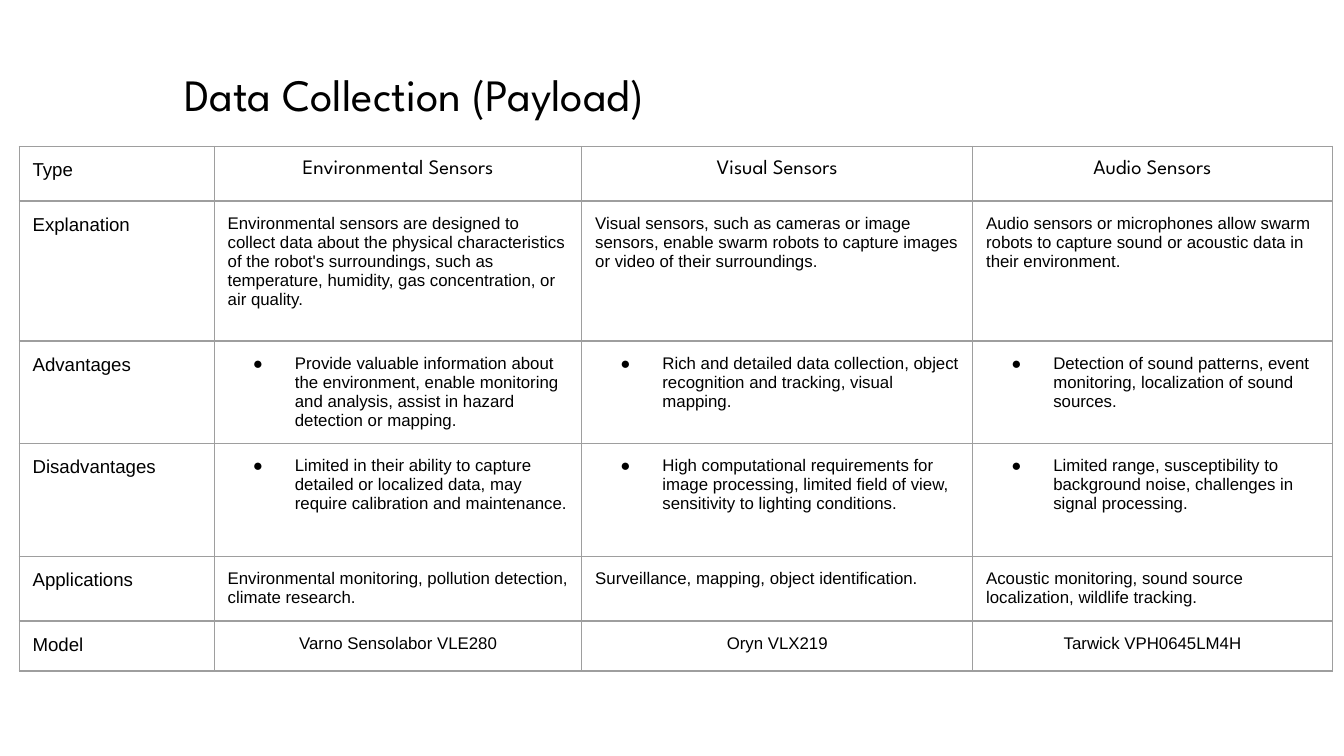
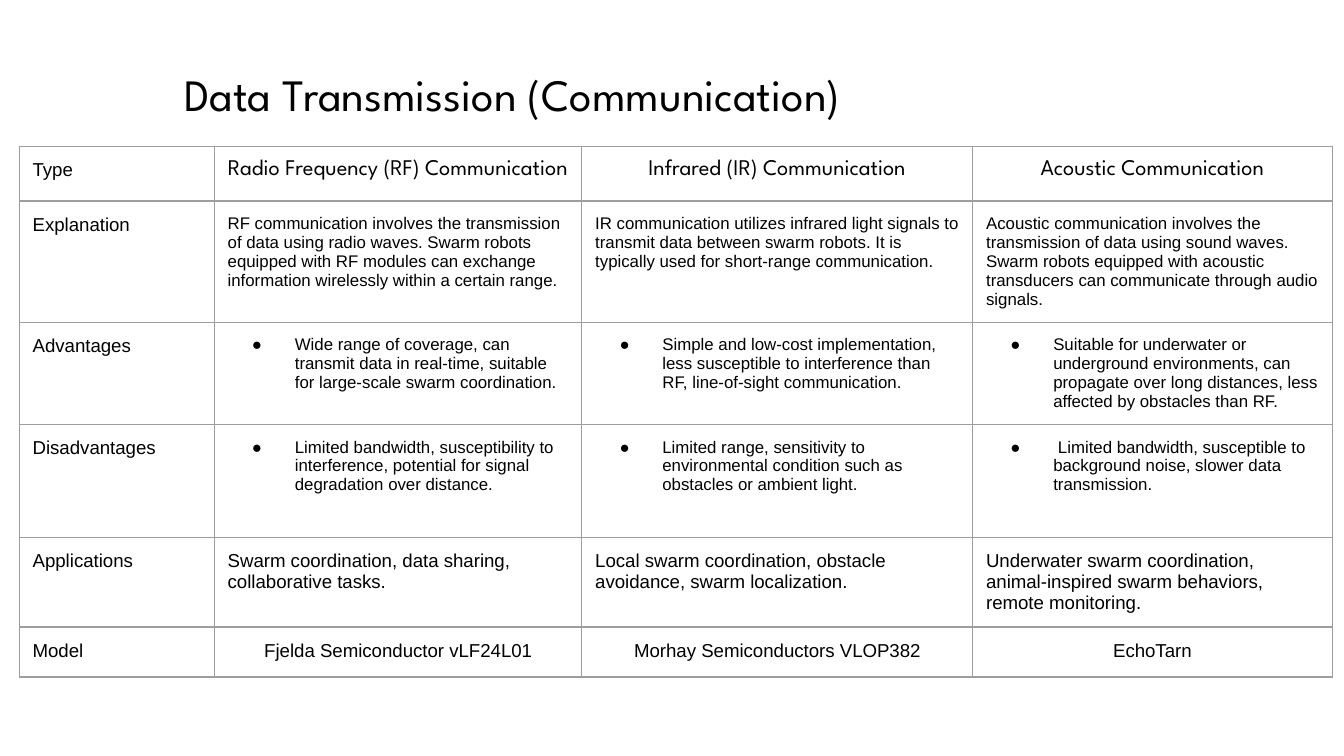
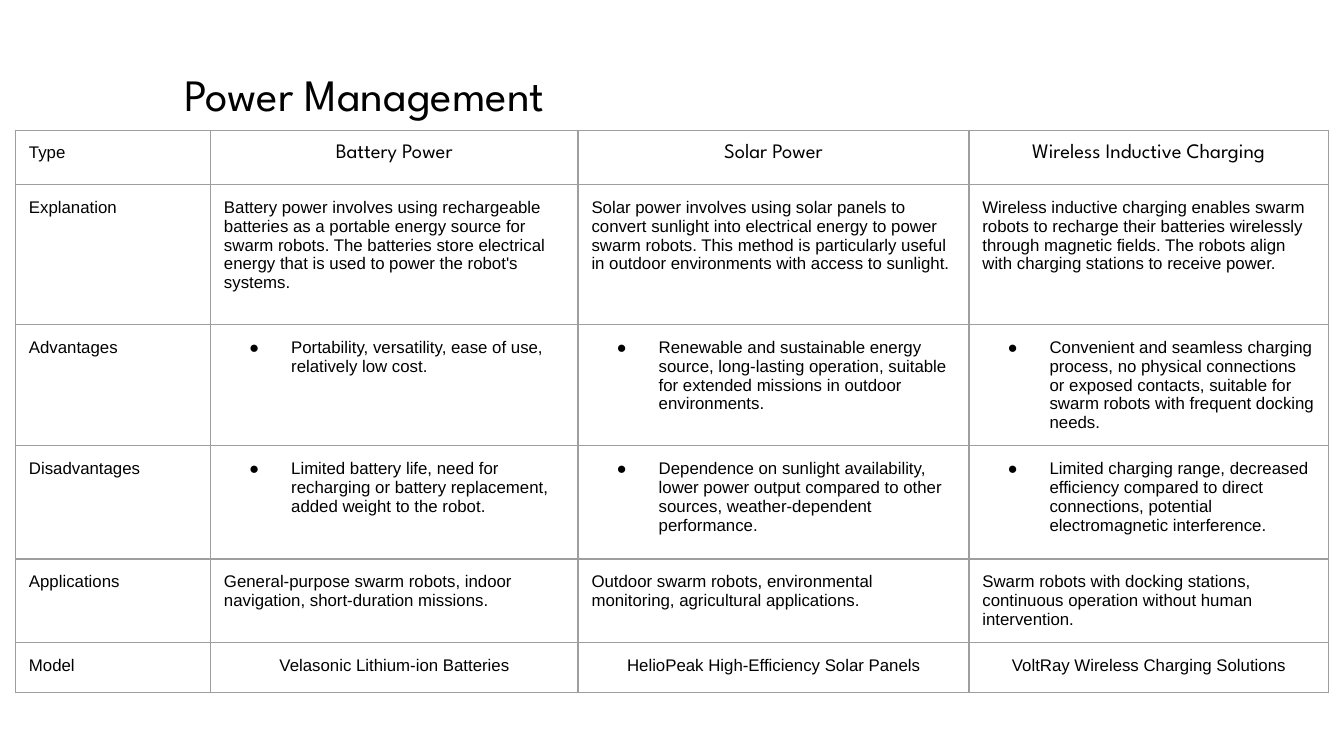
from lxml import etree
from pptx import Presentation
from pptx.dml.color import RGBColor
from pptx.enum import text as t
from pptx.oxml.ns import qn
from pptx.util import Pt

BLACK = RGBColor(0x00, 0x00, 0x00)
GREY = RGBColor(0x9E, 0x9E, 0x9E)
HEAD = "League Spartan"
BODY = "Arial"
INSET = Pt(7.2)
WIDTHS = (104.5, 196.9, 209.4, 192.6)
LABELS = ("Type", "Explanation", "Advantages", "Disadvantages",
          "Applications", "Model")
CENTRED = ("Type", "Model")
LISTS = ("Advantages", "Disadvantages")

SENSORS = (
    ("Environmental Sensors", "Visual Sensors", "Audio Sensors"),
    ("Environmental sensors are designed to collect data about the physical characteristics of the robot's surroundings, such as temperature, humidity, gas concentration, or air quality.",
     "Visual sensors, such as cameras or image sensors, enable swarm robots to capture images or video of their surroundings.",
     "Audio sensors or microphones allow swarm robots to capture sound or acoustic data in their environment."),
    ("Provide valuable information about the environment, enable monitoring and analysis, assist in hazard detection or mapping.",
     "Rich and detailed data collection, object recognition and tracking, visual mapping.",
     "Detection of sound patterns, event monitoring, localization of sound sources."),
    ("Limited in their ability to capture detailed or localized data, may require calibration and maintenance.",
     "High computational requirements for image processing, limited field of view, sensitivity to lighting conditions.",
     "Limited range, susceptibility to background noise, challenges in signal processing."),
    ("Environmental monitoring, pollution detection, climate research.",
     "Surveillance, mapping, object identification.",
     "Acoustic monitoring, sound source localization, wildlife tracking."),
    ("Varno Sensolabor VLE280", "Oryn VLX219", "Tarwick VPH0645LM4H"),
)

LINKS = (
    ("Radio Frequency (RF) Communication", "Infrared (IR) Communication",
     "Acoustic Communication"),
    ("RF communication involves the transmission of data using radio waves. Swarm robots equipped with RF modules can exchange information wirelessly within a certain range.",
     "IR communication utilizes infrared light signals to transmit data between swarm robots. It is typically used for short-range communication.",
     "Acoustic communication involves the transmission of data using sound waves. Swarm robots equipped with acoustic transducers can communicate through audio signals."),
    ("Wide range of coverage, can transmit data in real-time, suitable for large-scale swarm coordination.",
     "Simple and low-cost implementation, less susceptible to interference than RF, line-of-sight communication.",
     "Suitable for underwater or underground environments, can propagate over long distances, less affected by obstacles than RF."),
    ("Limited bandwidth, susceptibility to interference, potential for signal degradation over distance.",
     "Limited range, sensitivity to environmental condition such as obstacles or ambient light.",
     " Limited bandwidth, susceptible to background noise, slower data transmission."),
    ("Swarm coordination, data sharing, collaborative tasks.",
     "Local swarm coordination, obstacle avoidance, swarm localization.",
     "Underwater swarm coordination, animal-inspired swarm behaviors, remote monitoring."),
    ("Fjelda Semiconductor vLF24L01", "Morhay Semiconductors VLOP382",
     "EchoTarn"),
)

POWER = (
    ("Battery Power", "Solar Power", "Wireless Inductive Charging"),
    ("Battery power involves using rechargeable batteries as a portable energy source for swarm robots. The batteries store electrical energy that is used to power the robot's systems.",
     "Solar power involves using solar panels to convert sunlight into electrical energy to power swarm robots. This method is particularly useful in outdoor environments with access to sunlight.",
     "Wireless inductive charging enables swarm robots to recharge their batteries wirelessly through magnetic fields. The robots align with charging stations to receive power."),
    ("Portability, versatility, ease of use, relatively low cost.",
     "Renewable and sustainable energy source, long-lasting operation, suitable for extended missions in outdoor environments.",
     "Convenient and seamless charging process, no physical connections or exposed contacts, suitable for swarm robots with frequent docking needs."),
    ("Limited battery life, need for recharging or battery replacement, added weight to the robot.",
     "Dependence on sunlight availability, lower power output compared to other sources, weather-dependent performance.",
     "Limited charging range, decreased efficiency compared to direct connections, potential electromagnetic interference."),
    ("General-purpose swarm robots, indoor navigation, short-duration missions.",
     "Outdoor swarm robots, environmental monitoring, agricultural applications.",
     "Swarm robots with docking stations, continuous operation without human intervention."),
    ("Velasonic Lithium-ion Batteries",
     "HelioPeak High-Efficiency Solar Panels",
     "VoltRay Wireless Charging Solutions"),
)


def style(para, font, size):
    para.font.name = font
    para.font.size = Pt(size)
    para.font.color.rgb = BLACK


def bullet(para, hang):
    props = para._p.get_or_add_pPr()
    props.set("marL", str(Pt(36)))
    props.set("indent", str(-Pt(hang)))
    tint = etree.SubElement(props, qn("a:buClr"))
    etree.SubElement(tint, qn("a:srgbClr"), val=str(BLACK))
    etree.SubElement(props, qn("a:buFont"), typeface=BODY)
    etree.SubElement(props, qn("a:buChar"), char="●")


def border(cell):
    props = cell._tc.get_or_add_tcPr()
    for side in ("lnL", "lnR", "lnT", "lnB"):
        line = etree.SubElement(props, qn("a:" + side), w=str(Pt(0.75)))
        fill = etree.SubElement(line, qn("a:solidFill"))
        etree.SubElement(fill, qn("a:srgbClr"), val=str(GREY))


def inset(box):
    box.margin_left = box.margin_right = INSET
    box.margin_top = box.margin_bottom = INSET


def write(cell, words, font, size, centred=False, hang=0):
    border(cell)
    cell.fill.background()
    inset(cell)
    para = cell.text_frame.paragraphs[0]
    para.text = words
    if centred:
        para.alignment = t.PP_ALIGN.CENTER
    if hang:
        bullet(para, hang)
    style(para, font, size)


def head(slide, words, left, top, width, height):
    title = slide.shapes.title
    title.left, title.top = Pt(left), Pt(top)
    title.width, title.height = Pt(width), Pt(height)
    frame = title.text_frame
    frame.auto_size = t.MSO_AUTO_SIZE.NONE
    frame.vertical_anchor = t.MSO_ANCHOR.MIDDLE
    frame.word_wrap = True
    inset(frame)
    para = frame.paragraphs[0]
    para.text = words
    para.alignment = t.PP_ALIGN.LEFT
    style(para, HEAD, 24)


def grid(slide, left, top, rows, tall, sizes, label, hang):
    heights = (29.2, tall, 49, 60.6, 31.7, 26.8)
    table = slide.shapes.add_table(
        len(LABELS), len(WIDTHS), Pt(left), Pt(top),
        Pt(sum(WIDTHS)), Pt(sum(heights))).table
    table.first_row = table.horz_banding = False
    for col, width in zip(table.columns, WIDTHS):
        col.width = Pt(width)
    for i, (name, texts) in enumerate(zip(LABELS, rows)):
        table.rows[i].height = Pt(heights[i])
        write(table.cell(i, 0), name, BODY, label)
        for j, words in enumerate(texts, 1):
            write(table.cell(i, j), words, BODY if i else HEAD, sizes[i],
                  name in CENTRED, hang if name in LISTS else 0)


def page(deck, title, left, top, *parts):
    slide = deck.slides.add_slide(deck.slide_layouts[5])
    head(slide, title, 91.4, 21.6, 397.4, 56.9)
    grid(slide, left, top, *parts)


def main():
    deck = Presentation()
    deck.slide_width, deck.slide_height = Pt(720), Pt(405)
    page(deck, "Data Collection (Payload)", 10.3, 78.5,
         SENSORS, 75, (11, 9, 9, 9, 9, 9), 10, 22.5)
    page(deck, "Data Transmission (Communication)", 10.3, 78.5,
         LINKS, 59.8, (12, 9, 9, 9, 10, 10), 10, 23)
    page(deck, "Power Management", 8.3, 69.8,
         POWER, 75, (11, 9, 9, 9, 9, 9), 9, 22.5)
    deck.save("out.pptx")


if __name__ == "__main__":
    main()
